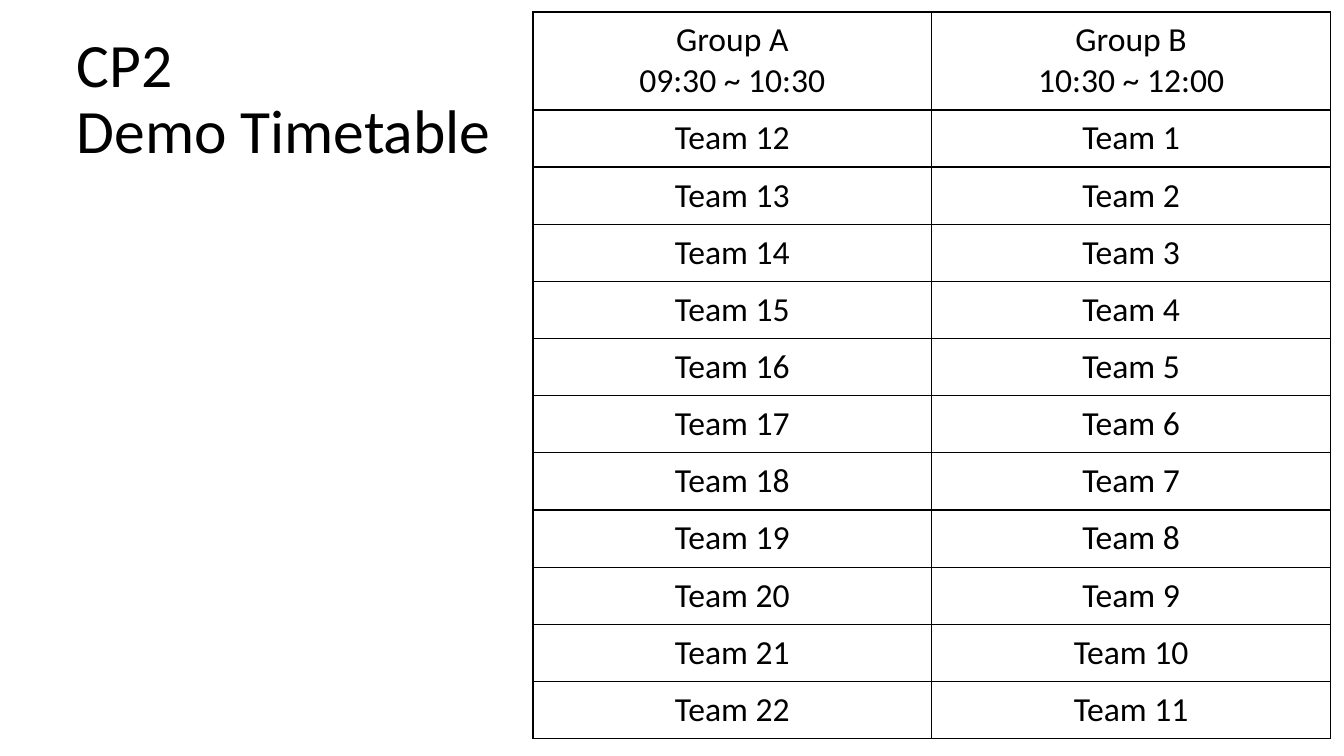
from lxml import etree
from pptx import Presentation
from pptx.dml.color import RGBColor
from pptx.enum.text import MSO_ANCHOR, PP_ALIGN
from pptx.oxml.ns import qn
from pptx.util import Cm, Pt

MIDDLE = MSO_ANCHOR.MIDDLE
LEFT, CENTER = PP_ALIGN.LEFT, PP_ALIGN.CENTER

COLORS = {"text": "000000", "border": "000000"}
FONT = "Calibri"
TITLE_SIZE, CELL_SIZE = 44, 24
BORDER_WIDTH = Pt(1)
BORDER_SIDES = ("a:lnL", "a:lnR", "a:lnT", "a:lnB")

HEADER = ["Group A\n09:30 ~ 10:30", "Group B\n10:30 ~ 12:00"]
TEAM_ROWS = 11
COLUMN_WIDTH, HEADER_HEIGHT, TEAM_HEIGHT = 10.05, 2.47, 1.44


class TimetableSlide:
    def __init__(self, presentation):
        self.slide = presentation.slides.add_slide(presentation.slide_layouts[6])

    def fill_text(self, text_frame, text, size, alignment, line_spacing=1.0):
        text_frame.text = text
        paragraph_format = {"alignment": alignment, "line_spacing": line_spacing}
        font_format = {"name": FONT, "size": Pt(size), "bold": False}
        for paragraph in text_frame.paragraphs:
            for name, value in paragraph_format.items():
                setattr(paragraph, name, value)
            for run in paragraph.runs:
                for name, value in font_format.items():
                    setattr(run.font, name, value)
                run.font.color.rgb = RGBColor.from_string(COLORS["text"])

    def add_title(self, text, left, top, width, height):
        shape = self.slide.shapes.add_textbox(Cm(left), Cm(top), Cm(width), Cm(height))
        shape.text_frame.word_wrap = True
        shape.text_frame.vertical_anchor = MIDDLE
        self.fill_text(shape.text_frame, text, TITLE_SIZE, LEFT, line_spacing=0.9)

    def add_borders(self, cell):
        properties = cell._tc.get_or_add_tcPr()
        for position, side in enumerate(BORDER_SIDES):
            line = etree.Element(qn(side), w=str(BORDER_WIDTH))
            fill = etree.SubElement(line, qn("a:solidFill"))
            etree.SubElement(fill, qn("a:srgbClr"), val=COLORS["border"])
            properties.insert(position, line)

    def add_table(self, rows, left, top, column_widths, row_heights):
        frame = self.slide.shapes.add_table(
            len(rows), len(column_widths), Cm(left), Cm(top),
            Cm(sum(column_widths)), Cm(sum(row_heights)))
        table = frame.table
        table.first_row = False
        table.horz_banding = False
        for column, width in zip(table.columns, column_widths):
            column.width = Cm(width)
        for row, height, texts in zip(table.rows, row_heights, rows):
            row.height = Cm(height)
            for cell, text in zip(row.cells, texts):
                cell.vertical_anchor = MIDDLE
                cell.fill.background()
                self.add_borders(cell)
                self.fill_text(cell.text_frame, text, CELL_SIZE, CENTER)


def main():
    presentation = Presentation()
    presentation.slide_width = Cm(33.87)
    presentation.slide_height = Cm(19.05)

    timetable = TimetableSlide(presentation)
    timetable.add_title("CP2\vDemo Timetable", 1.68, 0.69, 29.21, 3.68)

    teams = [[f"Team {number + TEAM_ROWS}", f"Team {number}"]
             for number in range(1, TEAM_ROWS + 1)]
    timetable.add_table([HEADER] + teams, 13.43, 0.3, [COLUMN_WIDTH] * 2,
                        [HEADER_HEIGHT] + [TEAM_HEIGHT] * TEAM_ROWS)

    presentation.save("out.pptx")


if __name__ == "__main__":
    main()
